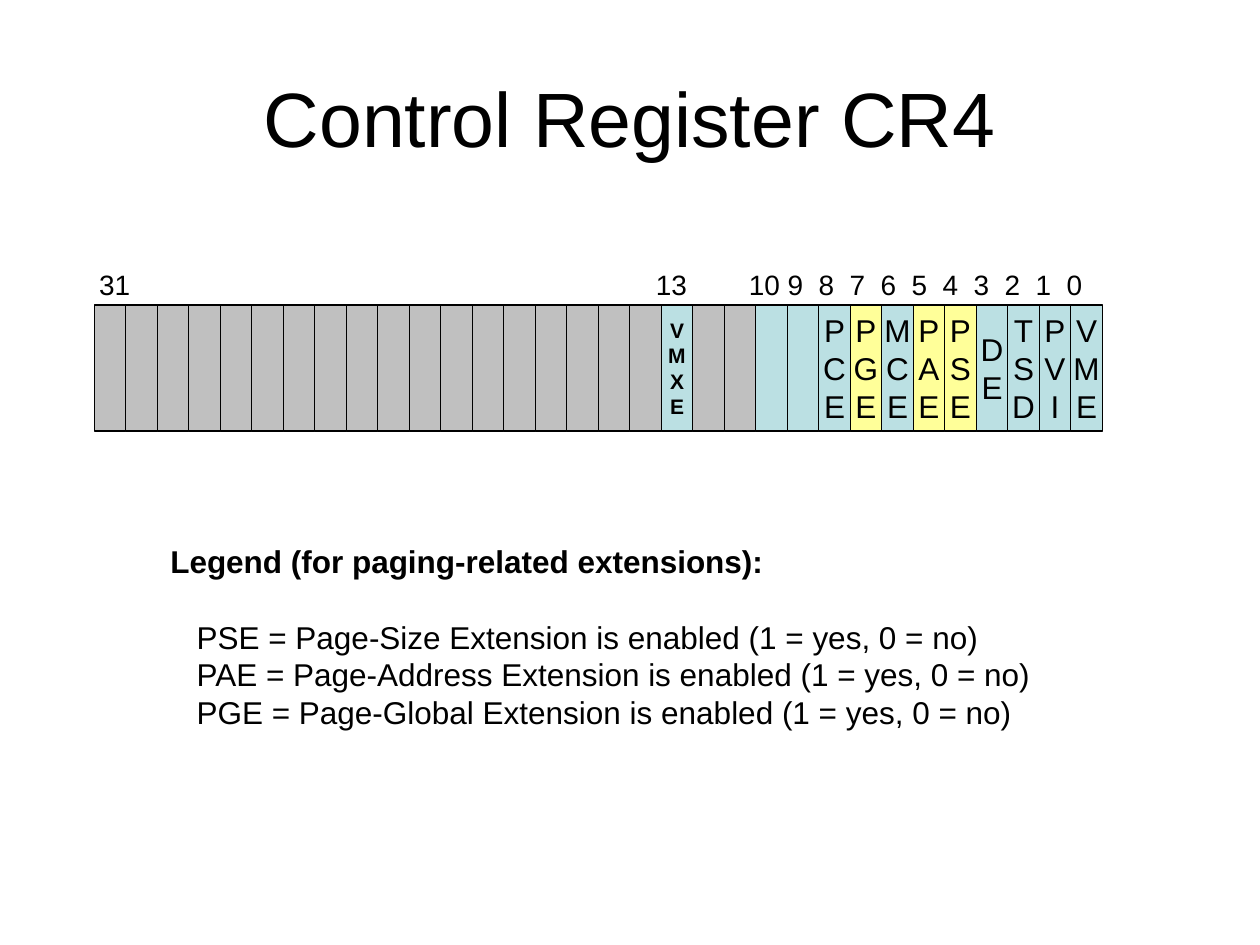
from lxml import etree
from pptx import Presentation, util as u
from pptx.dml.color import RGBColor
from pptx.enum import shapes, text
from pptx.oxml.ns import qn

COLORS = {"ink": "000000", "reserved": "C0C0C0", "defined": "BBE0E3", "paging": "FFFF99"}
FLAGS = {13: "VMXE", 10: "", 9: "", 8: "PCE", 7: "PGE", 6: "MCE", 5: "PAE",
         4: "PSE", 3: "DE", 2: "TSD", 1: "PVI", 0: "VME"}
PAGING = ("PSE", "PAE", "PGE")
TOP_BIT = 31
BIT_WIDTH, BIT_HEIGHT = 0.635, 2.54
REGISTER_LEFT, REGISTER_TOP = 1.9, 6.15
LABEL_STEP, LABEL_ZERO = 0.625, 19.66  # spacing and centre of bit 0, from the text edge
LEGEND = [f"{flag} = Page-{kind} Extension is enabled (1 = yes, 0 = no)"
          for flag, kind in zip(PAGING, ("Size", "Address", "Global"))]


def rgb(name):
    return RGBColor.from_string(COLORS[name])


def write(paragraph, words, size=18, bold=False, align=text.PP_ALIGN.LEFT, before=0):
    paragraph.text = words
    paragraph.alignment = align
    paragraph.space_before = u.Pt(before)
    font = paragraph.font
    font.name, font.size, font.bold = "Arial", u.Pt(size), bold
    font.color.rgb = rgb("ink")


def place(shape, left, top, width, height):
    shape.left, shape.top = u.Cm(left), u.Cm(top)
    shape.width, shape.height = u.Cm(width), u.Cm(height)


def add_title(slide, words):
    title = slide.shapes.title
    place(title, 1.27, 0.76, 22.86, 3.18)
    frame = title.text_frame
    frame.auto_size = text.MSO_AUTO_SIZE.NONE
    frame.vertical_anchor = text.MSO_ANCHOR.MIDDLE
    write(frame.paragraphs[0], words, size=44, align=text.PP_ALIGN.CENTER)


def add_bit(slide, bit):
    flag = FLAGS.get(bit)
    left = REGISTER_LEFT + (TOP_BIT - bit) * BIT_WIDTH
    cell = slide.shapes.add_shape(shapes.MSO_SHAPE.RECTANGLE, u.Cm(left), u.Cm(REGISTER_TOP),
                                  u.Cm(BIT_WIDTH), u.Cm(BIT_HEIGHT))
    cell.shadow.inherit = False
    cell.fill.solid()
    kind = "reserved" if flag is None else "paging" if flag in PAGING else "defined"
    cell.fill.fore_color.rgb = rgb(kind)
    cell.line.color.rgb = rgb("ink")
    cell.line.width = u.Pt(0.75)
    if not flag:
        return
    frame = cell.text_frame
    frame.word_wrap = False
    frame.vertical_anchor = text.MSO_ANCHOR.MIDDLE
    is_long = len(flag) > 3
    for i, letter in enumerate(flag):
        paragraph = frame.add_paragraph() if i else frame.paragraphs[0]
        write(paragraph, letter, size=12 if is_long else 18, bold=is_long,
              align=text.PP_ALIGN.CENTER)


def add_bit_numbers(slide):
    """Number the defined bits on one line, centred on evenly stepped tab stops."""
    box = slide.shapes.add_textbox(u.Cm(1.75), u.Cm(5.26), u.Cm(20.5), u.Cm(0.94))
    box.text_frame.word_wrap = True
    paragraph = box.text_frame.paragraphs[0]
    stops = etree.SubElement(paragraph._p.get_or_add_pPr(), qn("a:tabLst"))
    for bit in FLAGS:
        position = u.Cm(LABEL_ZERO - bit * LABEL_STEP)
        etree.SubElement(stops, qn("a:tab"), pos=str(position), algn="ctr")
    write(paragraph, "\t".join(str(bit) for bit in (TOP_BIT, *FLAGS)), size=16)


def add_legend(slide, heading, entries):
    body = slide.placeholders[1]
    place(body, 3.18, 10.8, 17.88, 4.06)
    frame = body.text_frame
    frame.auto_size = text.MSO_AUTO_SIZE.NONE
    frame.word_wrap = False
    for i, words in enumerate((heading, *entries)):
        paragraph = frame.add_paragraph() if i else frame.paragraphs[0]
        properties = paragraph._p.get_or_add_pPr()
        properties.set("marL", str(u.Cm(0.53 if i else 0)))
        properties.set("indent", "0")
        etree.SubElement(properties, qn("a:buNone"))
        write(paragraph, words, bold=i == 0, before=21.6 if i == 1 else 0)


def main():
    deck = Presentation()
    deck.slide_width, deck.slide_height = u.Cm(25.4), u.Cm(19.05)
    slide = deck.slides.add_slide(deck.slide_layouts[1])
    add_title(slide, "Control Register CR4")
    for bit in range(TOP_BIT, -1, -1):
        add_bit(slide, bit)
    add_bit_numbers(slide)
    add_legend(slide, "Legend (for paging-related extensions):", LEGEND)
    deck.save("out.pptx")


if __name__ == "__main__":
    main()
